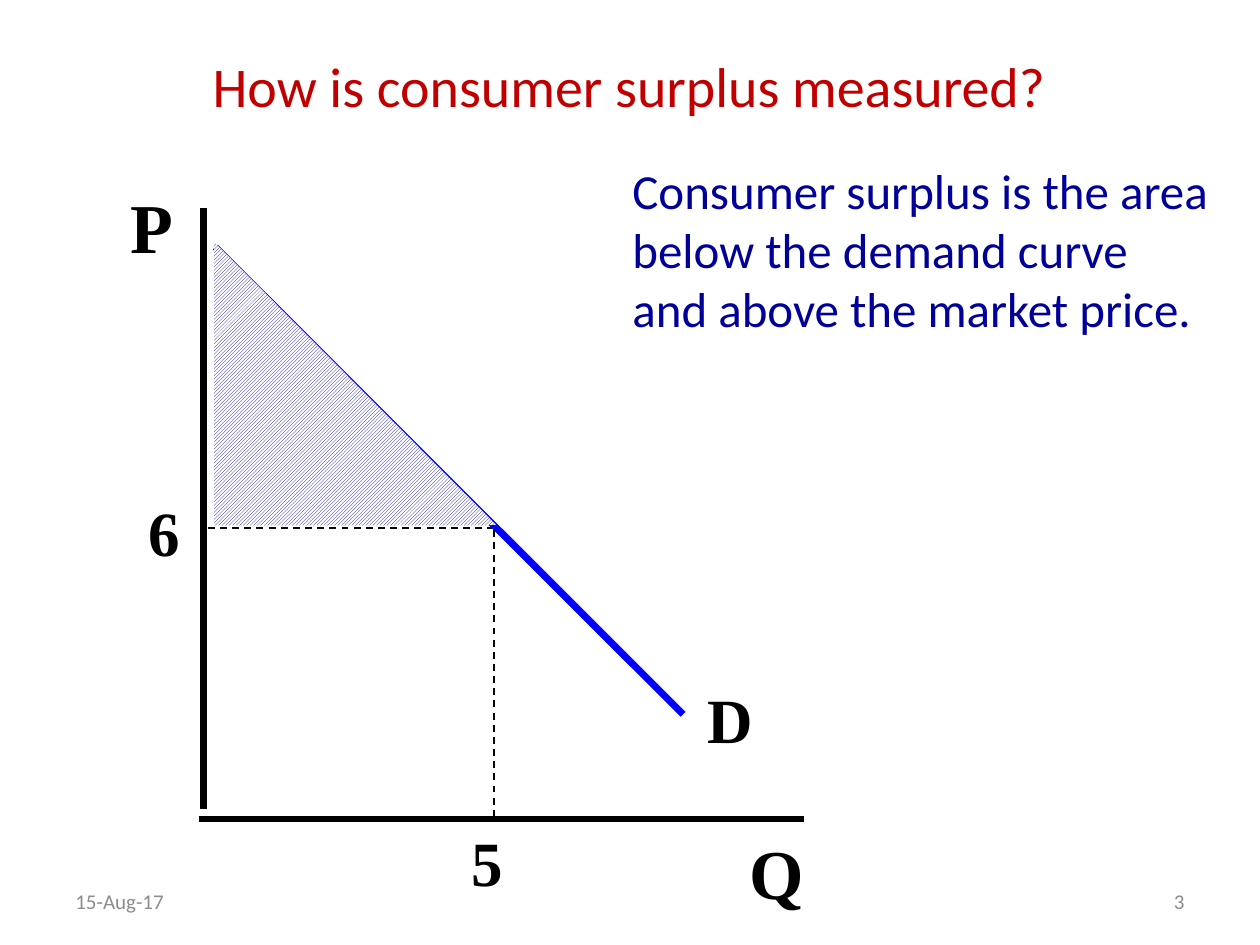
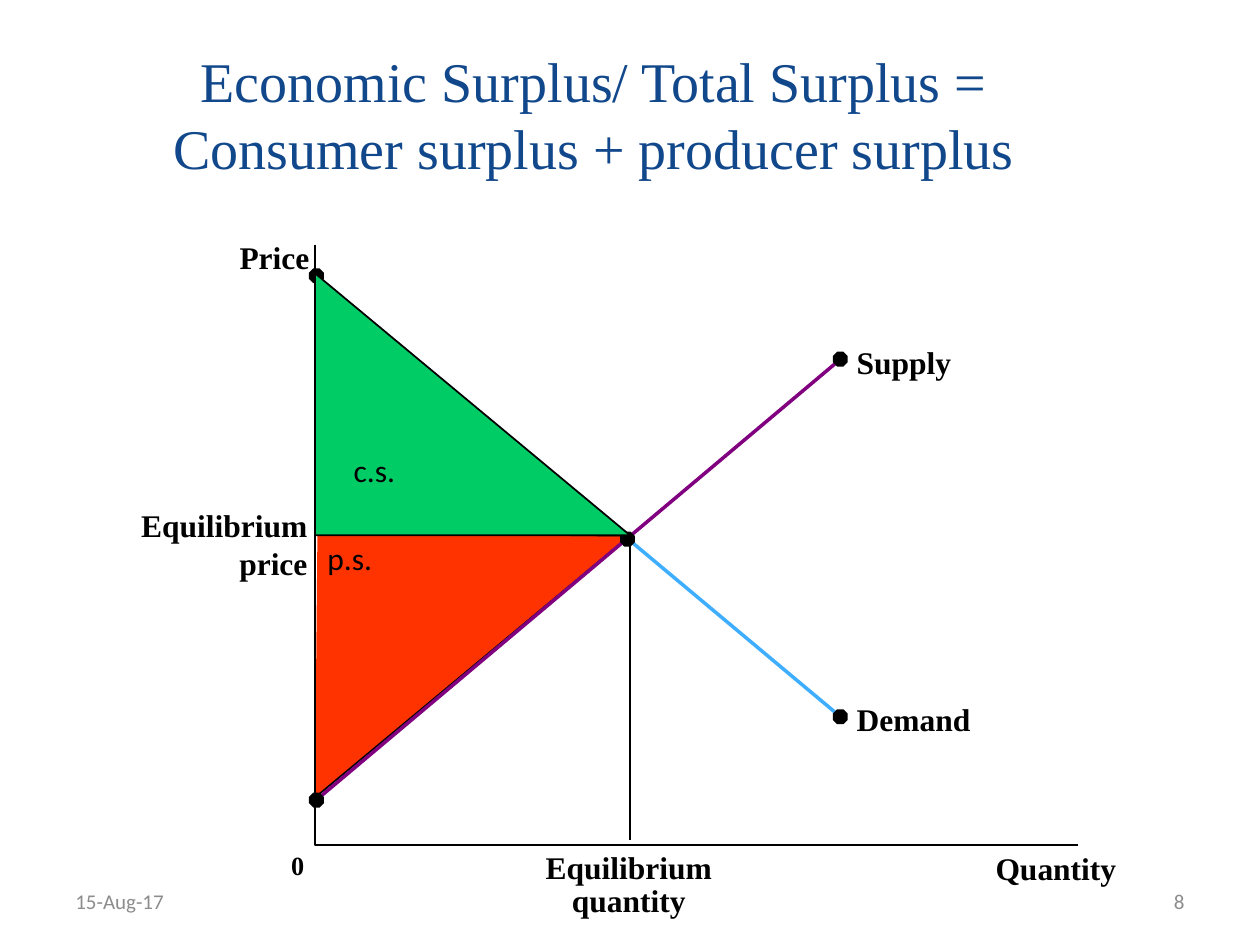
from pptx import Presentation
from pptx.dml.color import RGBColor
from pptx.enum.dml import MSO_LINE_DASH_STYLE as Dash, MSO_PATTERN_TYPE as Pattern
from pptx.enum.shapes import MSO_CONNECTOR as Connector, MSO_SHAPE as Preset
from pptx.enum.text import MSO_ANCHOR as Anchor, MSO_AUTO_SIZE as AutoSize, PP_ALIGN as Align
from pptx.oxml.xmlchemy import OxmlElement
from pptx.util import Cm, Pt

BLACK = RGBColor(0x00, 0x00, 0x00)
WHITE = RGBColor(0xFF, 0xFF, 0xFF)
TITLE_RED = RGBColor(0xC0, 0x00, 0x00)
TITLE_BLUE = RGBColor(0x11, 0x47, 0x8B)
NAVY = RGBColor(0x00, 0x00, 0x99)
BRIGHT_BLUE = RGBColor(0x00, 0x00, 0xFF)
FOOTER_GREY = RGBColor(0x8C, 0x8C, 0x8C)
SURPLUS_GREEN = RGBColor(0x00, 0xCC, 0x66)
SURPLUS_RED = RGBColor(0xFF, 0x33, 0x00)
SUPPLY_PURPLE = RGBColor(0x80, 0x00, 0x80)
DEMAND_BLUE = RGBColor(0x40, 0xAE, 0xFF)
SANS, SERIF = "Calibri", "Times New Roman"

# All positions are in centimetres: left, top, width, height or x, y.
DATE = "15-Aug-17"
DATE_BOX = (1.27, 17.65, 5.92, 1.02)
NUMBER_BOX = (18.21, 17.65, 5.92, 1.02)

MEASURE_TITLE = "How is consumer surplus measured?"
MEASURE_NOTE = "Consumer surplus is the area below the demand curve and above the market price."
MEASURE_LABELS = [  # text, box, size
    ("P", (2.39, 3.58, 1.45, 1.93), 40),
    ("Q", (14.86, 16.59, 1.6, 1.93), 40),
    ("6", (2.74, 9.83, 1.22, 1.78), 36),
    ("5", (9.25, 16.48, 1.22, 1.78), 36),
    ("D", (14.02, 13.59, 1.42, 1.78), 36),
]
MEASURE_LINES = [  # start, end, colour, width, dash
    ((4.11, 4.19), (4.11, 16.31), BLACK, 4, None),
    ((4.01, 16.51), (16.21, 16.51), BLACK, 4, None),
    ((4.34, 4.98), (13.77, 14.4), BRIGHT_BLUE, 4, None),
    ((4.19, 10.64), (9.91, 10.64), BLACK, 1, Dash.DASH),
    ((9.96, 10.69), (9.96, 16.51), BLACK, 1, Dash.DASH),
]
MEASURE_AREA = [(4.32, 4.88), (4.32, 10.59), (10.01, 10.59)]

TOTAL_TITLE = "Economic Surplus/ Total Surplus = Consumer surplus + producer surplus"
TOTAL_LABELS = [  # text, box, size, alignment, line spacing
    ("Price", (4.83, 4.8, 1.55, 0.76), 18, Align.LEFT, None),
    ("Equilibrium\nprice", (2.69, 10.21, 3.51, 1.52), 18, Align.RIGHT, None),
    ("0", (5.87, 17.12, 0.3, 0.64), 15, Align.LEFT, None),
    ("Quantity", (20.07, 17.12, 2.57, 0.76), 18, Align.LEFT, None),
    ("Equilibrium\nquantity", (10.92, 17.22, 3.51, 1.3), 18, Align.CENTER, 0.85),
    ("Supply", (17.27, 6.91, 2.11, 0.76), 18, Align.LEFT, None),
    ("Demand", (17.27, 14.12, 2.51, 0.76), 18, Align.LEFT, None),
]
CURVES = [
    ((6.35, 16.15), (16.92, 7.26), SUPPLY_PURPLE, 2),
    ((6.38, 5.61), (16.92, 14.43), DEMAND_BLUE, 2),
]
AXES = [(6.35, 4.93), (6.35, 17.04), (21.74, 17.04)]
PRODUCER_AREA = [(6.4, 10.74), (12.7, 10.8), (6.35, 16.08)]
CONSUMER_BOX = (6.35, 5.51, 6.35, 5.28)
QUANTITY_DROP = ((12.7, 10.8), (12.7, 16.94), BLACK, 1)
DOT_CENTRES = [(6.38, 16.13), (12.65, 10.87), (16.94, 7.24), (16.94, 14.45), (6.38, 5.56)]
DOT_SIZE = 0.3


def to_cm(values):
    return [Cm(value) for value in values]


def write(frame, text, font, size, colour, bold=False, align=Align.LEFT, spacing=None):
    frame.text = text
    for paragraph in frame.paragraphs:
        paragraph.alignment = align
        if spacing:
            paragraph.line_spacing = spacing
        for run in paragraph.runs:
            run.font.name, run.font.size = font, Pt(size)
            run.font.color.rgb, run.font.bold = colour, bold


def add_text(slide, box, text, font, size, colour, wrap=True, inset=None, grow=True, **style):
    frame = slide.shapes.add_textbox(*to_cm(box)).text_frame
    frame.word_wrap = wrap
    frame.auto_size = AutoSize.SHAPE_TO_FIT_TEXT if grow else AutoSize.NONE
    if inset is not None:
        frame.margin_left = frame.margin_top = frame.margin_right = frame.margin_bottom = inset
    write(frame, text, font, size, colour, **style)
    return frame


def add_label(slide, text, box, size, align=Align.LEFT, spacing=None, inset=None):
    add_text(slide, box, text, SERIF, size, BLACK, wrap=False, inset=inset,
             bold=True, align=align, spacing=spacing)


def add_line(slide, start, end, colour, width, dash=None):
    line = slide.shapes.add_connector(Connector.STRAIGHT, *to_cm(start + end))
    line.line.color.rgb, line.line.width = colour, Pt(width)
    if dash:
        line.line.dash_style = dash
    line._element.spPr.append(OxmlElement("a:effectLst"))


def paint(shape, fill=None, outline=None):
    shape.shadow.inherit = False
    if fill is None:
        shape.fill.background()
    else:
        shape.fill.solid()
        shape.fill.fore_color.rgb = fill
    if outline is None:
        shape.line.fill.background()
    else:
        shape.line.color.rgb, shape.line.width = outline, Pt(1)


def add_outline(slide, points, close=False, **colours):
    first, *others = [to_cm(point) for point in points]
    builder = slide.shapes.build_freeform(*first)
    builder.add_line_segments(others, close=close)
    shape = builder.convert_to_shape()
    paint(shape, **colours)
    return shape


def add_titled_slide(deck, title, box, font, colour, number, spacing=None):
    """Add a slide with its title, date and slide number."""
    slide = deck.slides.add_slide(deck.slide_layouts[5])
    heading = slide.shapes.title
    heading.left, heading.top, heading.width, heading.height = to_cm(box)
    frame = heading.text_frame
    frame.auto_size, frame.vertical_anchor = AutoSize.NONE, Anchor.MIDDLE
    write(frame, title, font, 32, colour, align=Align.CENTER, spacing=spacing)
    for text, place, align in ((DATE, DATE_BOX, Align.LEFT), (number, NUMBER_BOX, Align.RIGHT)):
        footer = add_text(slide, place, text, SANS, 12, FOOTER_GREY, grow=False, align=align)
        footer.vertical_anchor = Anchor.MIDDLE
    return slide


def build_measure_slide(deck):
    slide = add_titled_slide(deck, MEASURE_TITLE, (2.74, 0.48, 19.89, 2.64), SANS,
                             TITLE_RED, "3", spacing=0.9)
    for label in MEASURE_LABELS:
        add_label(slide, *label)
    for line in MEASURE_LINES:
        add_line(slide, *line)
    add_text(slide, (12.5, 3.12, 12.19, 5), MEASURE_NOTE, SANS, 28, NAVY)
    hatching = add_outline(slide, MEASURE_AREA, close=True).fill
    hatching.patterned()
    hatching.pattern = Pattern.DARK_UPWARD_DIAGONAL
    hatching.fore_color.rgb, hatching.back_color.rgb = NAVY, WHITE


def build_total_slide(deck):
    slide = add_titled_slide(deck, TOTAL_TITLE, (2.97, 0.43, 18.01, 3.71), SERIF,
                             TITLE_BLUE, "8")
    for label in TOTAL_LABELS:
        add_label(slide, *label, inset=0)

    producer = add_outline(slide, PRODUCER_AREA, fill=SURPLUS_RED, outline=BLACK)
    producer.text_frame.vertical_anchor = Anchor.TOP
    write(producer.text_frame, "p.s.", SANS, 18, BLACK)
    for curve in CURVES:
        add_line(slide, *curve)
    add_outline(slide, AXES, outline=BLACK)
    for x, y in DOT_CENTRES:
        corner = (x - DOT_SIZE / 2, y - DOT_SIZE / 2)
        dot = slide.shapes.add_shape(Preset.OCTAGON, *to_cm(corner + (DOT_SIZE, DOT_SIZE)))
        paint(dot, fill=BLACK)

    consumer = slide.shapes.add_shape(Preset.RIGHT_TRIANGLE, *to_cm(CONSUMER_BOX))
    paint(consumer, fill=SURPLUS_GREEN, outline=BLACK)
    consumer.text_frame.word_wrap = False
    consumer.text_frame.vertical_anchor = Anchor.MIDDLE
    write(consumer.text_frame, "c.s.", SANS, 18, BLACK)
    add_line(slide, *QUANTITY_DROP)


def main():
    deck = Presentation()
    deck.slide_width, deck.slide_height = Cm(25.4), Cm(19.05)
    build_measure_slide(deck)
    build_total_slide(deck)
    deck.save("out.pptx")


if __name__ == "__main__":
    main()
